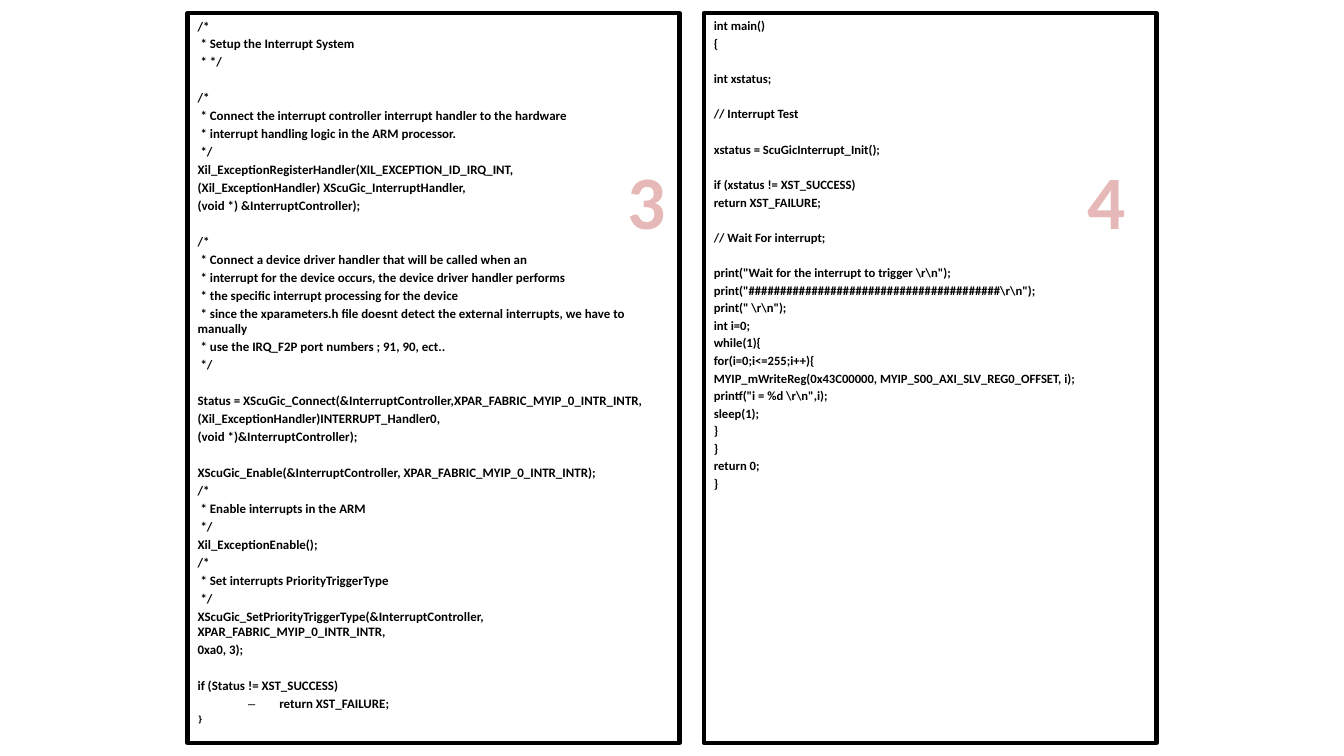
from dataclasses import dataclass

from lxml.etree import SubElement
from pptx import Presentation
from pptx.dml.color import RGBColor as RGB
from pptx.enum.text import MSO_ANCHOR as Anchor, MSO_AUTO_SIZE as AutoSize, PP_ALIGN as Align
from pptx.oxml.ns import qn
from pptx.util import Pt

PX = 9144  # EMU per px, 100 px to the inch


@dataclass(frozen=True)
class Theme:
    ink: RGB = RGB(0x00, 0x00, 0x00)
    step: RGB = RGB(0xE6, 0xB9, 0xB8)
    step_edge: str = "C0504D"
    font: str = "Calibri"
    mono: str = "Noto Sans Mono"
    setup_size: float = 9.2
    main_size: float = 9
    closing_size: float = 6.5
    step_size: float = 54
    border: float = 3
    step_border: float = 1.75
    space: float = 0.19  # space before a line, as a share of its size
    line: float = 1.22  # line height, as a share of its size


THEME = Theme()

# Sections of each listing; a leading ">" stands for one outline level
REGISTER_HANDLER = r"""/*
 * Setup the Interrupt System
 * */

/*
 * Connect the interrupt controller interrupt handler to the hardware
 * interrupt handling logic in the ARM processor.
 */
Xil_ExceptionRegisterHandler(XIL_EXCEPTION_ID_IRQ_INT,
(Xil_ExceptionHandler) XScuGic_InterruptHandler,
(void *) &InterruptController);"""

CONNECT_DEVICE = r"""/*
 * Connect a device driver handler that will be called when an
 * interrupt for the device occurs, the device driver handler performs
 * the specific interrupt processing for the device
 * since the xparameters.h file doesnt detect the external interrupts, we have to manually
 * use the IRQ_F2P port numbers ; 91, 90, ect..
 */

Status = XScuGic_Connect(&InterruptController,XPAR_FABRIC_MYIP_0_INTR_INTR,
(Xil_ExceptionHandler)INTERRUPT_Handler0,
(void *)&InterruptController);"""

ENABLE_INTERRUPTS = r"""XScuGic_Enable(&InterruptController, XPAR_FABRIC_MYIP_0_INTR_INTR);
/*
 * Enable interrupts in the ARM
 */
Xil_ExceptionEnable();
/*
 * Set interrupts PriorityTriggerType
 */
XScuGic_SetPriorityTriggerType(&InterruptController, XPAR_FABRIC_MYIP_0_INTR_INTR,
0xa0, 3);

if (Status != XST_SUCCESS)
>return XST_FAILURE;"""

START_TEST = r"""int main()
{

>int xstatus;

>// Interrupt Test

>xstatus = ScuGicInterrupt_Init();

>if (xstatus != XST_SUCCESS)
>return XST_FAILURE;"""

WAIT_LOOP = r""">// Wait For interrupt;

>print("Wait for the interrupt to trigger \r\n");
>print("########################################\r\n");
>print(" \r\n");
>int i=0;
>while(1){
>>for(i=0;i<=255;i++){
>>MYIP_mWriteReg(0x43C00000, MYIP_S00_AXI_SLV_REG0_OFFSET, i);
>>printf("i = %d \r\n",i);
>>sleep(1);
>>}
>}
>return 0;
}"""


def place(part, box):
    part.left, part.top, part.width, part.height = (n * PX for n in box)


def write(paragraph, text, *, size, color=THEME.ink, font=THEME.font,
          before=0.0, level=0, align=Align.LEFT, dash=False):
    """Fill one paragraph and return its run."""
    paragraph.level = level
    properties = paragraph._p.get_or_add_pPr()
    properties.set("marL", str(81 * PX if dash else 0))
    properties.set("indent", str(-31 * PX if dash else 0))
    if dash:
        SubElement(properties, qn("a:buChar"), char="–")
    else:
        SubElement(properties, qn("a:buNone"))
    paragraph.alignment = align
    paragraph.space_before = Pt(round(before, 2))
    run = paragraph.add_run()
    run.text = text
    run.font.size, run.font.name, run.font.bold = Pt(size), font, True
    run.font.color.rgb = color
    return run


def code_panel(panel, box, sections, *, size, dash_level=None, closing=None):
    """Framed listing; an empty code line becomes space before the next one."""
    place(panel, box)
    panel.fill.background()
    panel.line.color.rgb = THEME.ink
    panel.line.width = Pt(THEME.border)
    frame = panel.text_frame
    frame.word_wrap = True
    frame.auto_size = AutoSize.NONE
    frame.vertical_anchor = Anchor.TOP
    paragraph, before = frame.paragraphs[0], 0
    space = THEME.space * size
    for line in "\n\n".join(sections).splitlines():
        if not line:
            before += THEME.line * size + space
            continue
        text = line.lstrip(">")
        level = len(line) - len(text)
        paragraph = paragraph if before == 0 else frame.add_paragraph()
        write(paragraph, text, size=size, before=before, level=level,
              dash=level == dash_level)
        before = space
    if closing:
        write(frame.add_paragraph(), closing, size=THEME.closing_size,
              font=THEME.mono, before=THEME.space * THEME.closing_size)


def step_number(slide, box, number):
    """Large outlined number over a panel."""
    label = slide.shapes.add_textbox(*(n * PX for n in box))
    frame = label.text_frame
    frame.word_wrap = False
    frame.auto_size = AutoSize.SHAPE_TO_FIT_TEXT
    run = write(frame.paragraphs[0], number, size=THEME.step_size,
                color=THEME.step, align=Align.CENTER)
    # The text outline comes first among the run properties
    run_properties = run.font._element
    edge = SubElement(run_properties, qn("a:ln"), w=str(Pt(THEME.step_border)))
    SubElement(SubElement(edge, qn("a:solidFill")), qn("a:srgbClr"), val=THEME.step_edge)
    run_properties.insert(0, edge)


def code_slide(deck):
    slide = deck.slides.add_slide(deck.slide_layouts[3])  # two content areas
    title, setup, main_code = slide.placeholders
    title._element.getparent().remove(title._element)
    top, height = 13, 724
    code_panel(setup, (186, top, 488, height),
               (REGISTER_HANDLER, CONNECT_DEVICE, ENABLE_INTERRUPTS),
               size=THEME.setup_size, dash_level=1, closing="}")
    code_panel(main_code, (698, top, 449, height), (START_TEST, WAIT_LOOP),
               size=THEME.main_size)
    for left, number in ((612, "3"), (1068, "4")):
        step_number(slide, (left, 148, 59, 101), number)


def main():
    deck = Presentation()
    deck.slide_width, deck.slide_height = 1333 * PX, 750 * PX
    code_slide(deck)
    deck.save("out.pptx")


if __name__ == "__main__":
    main()
